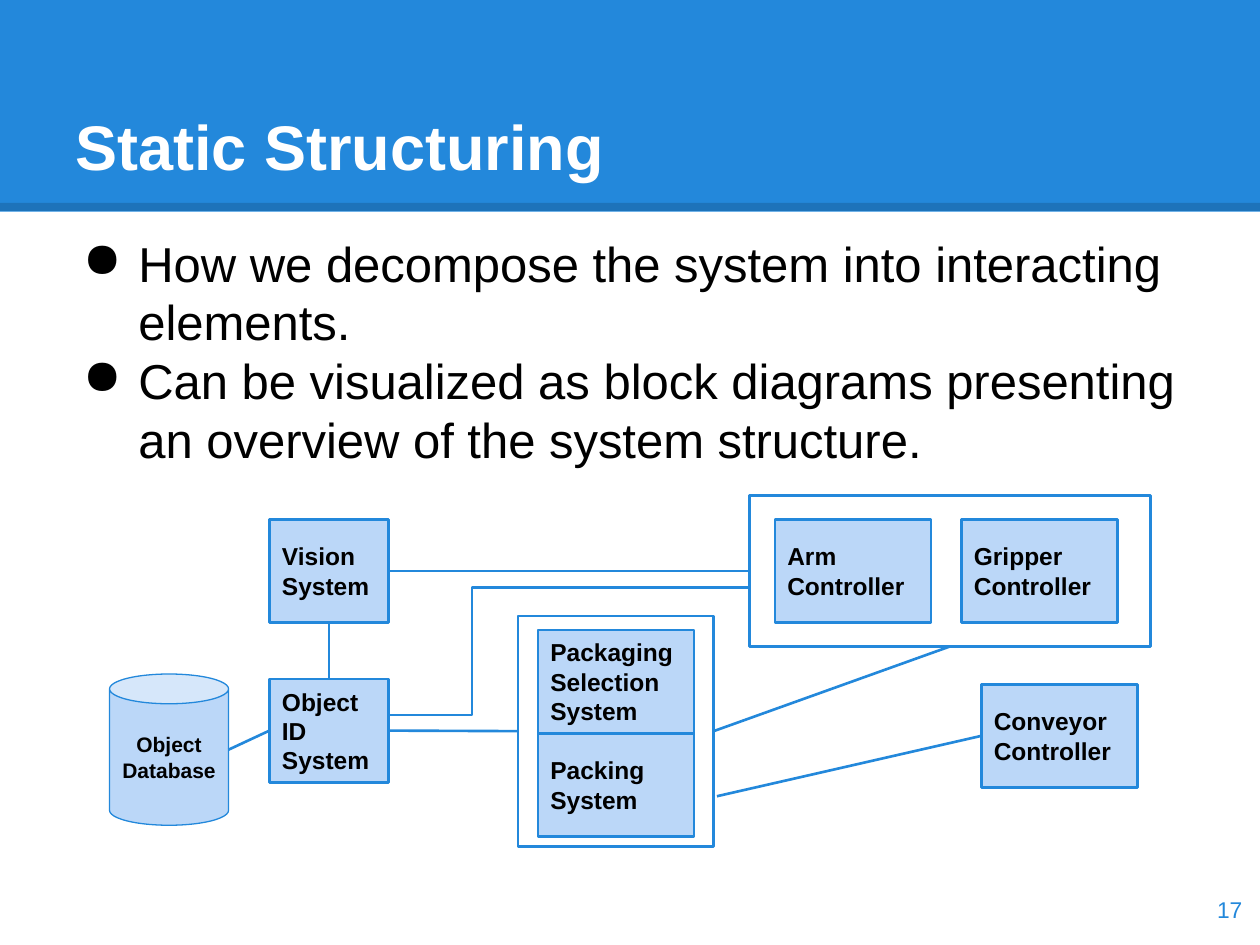
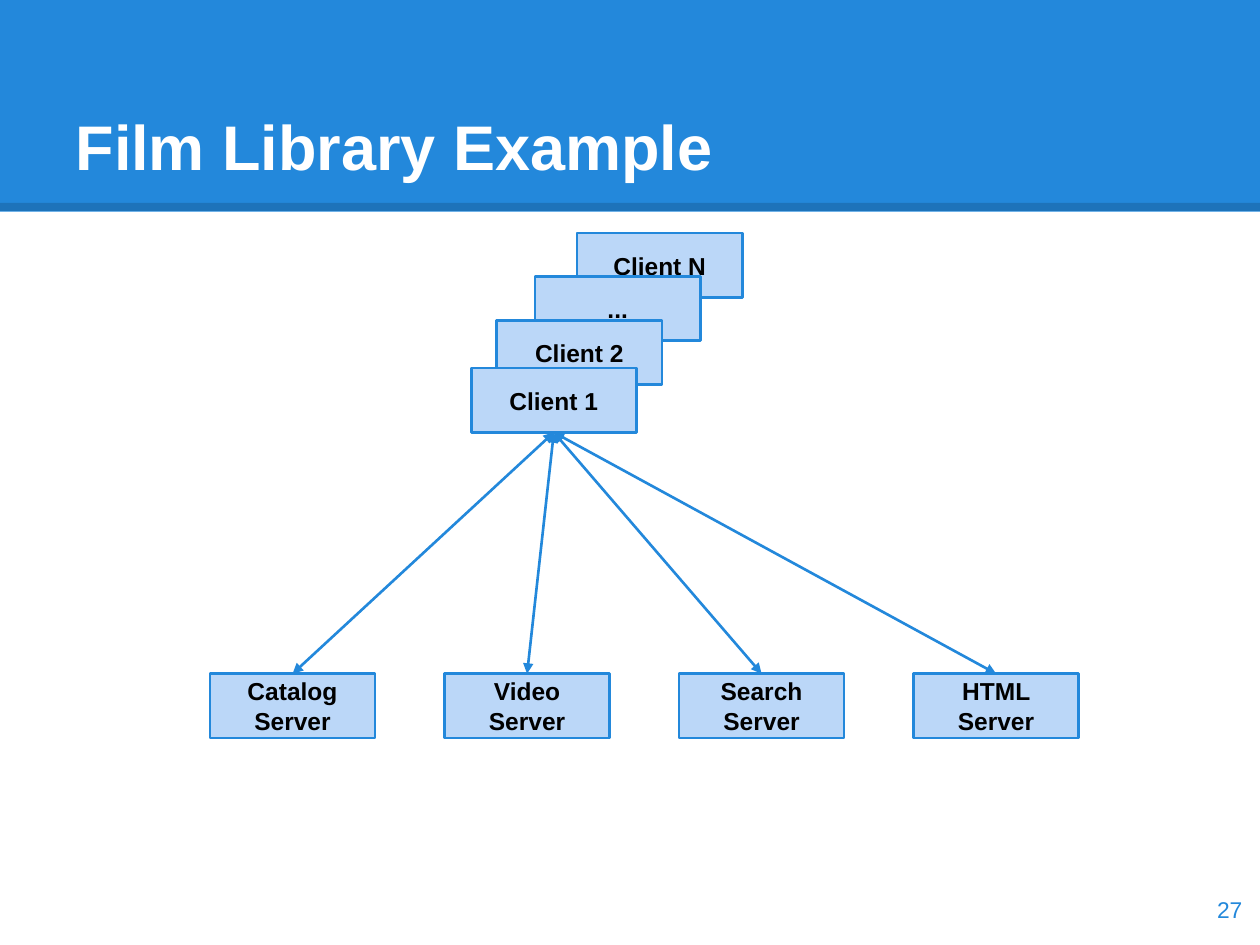
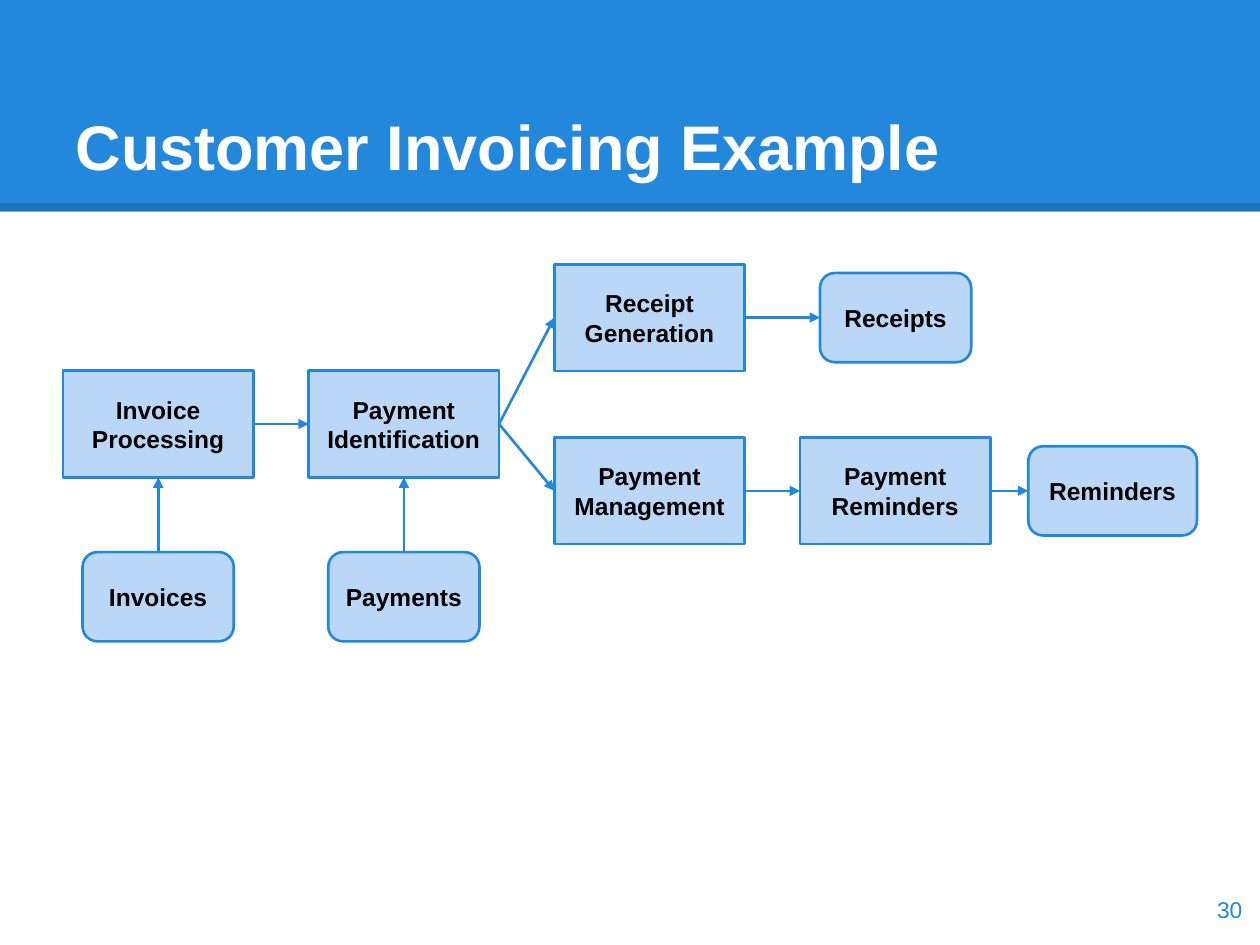
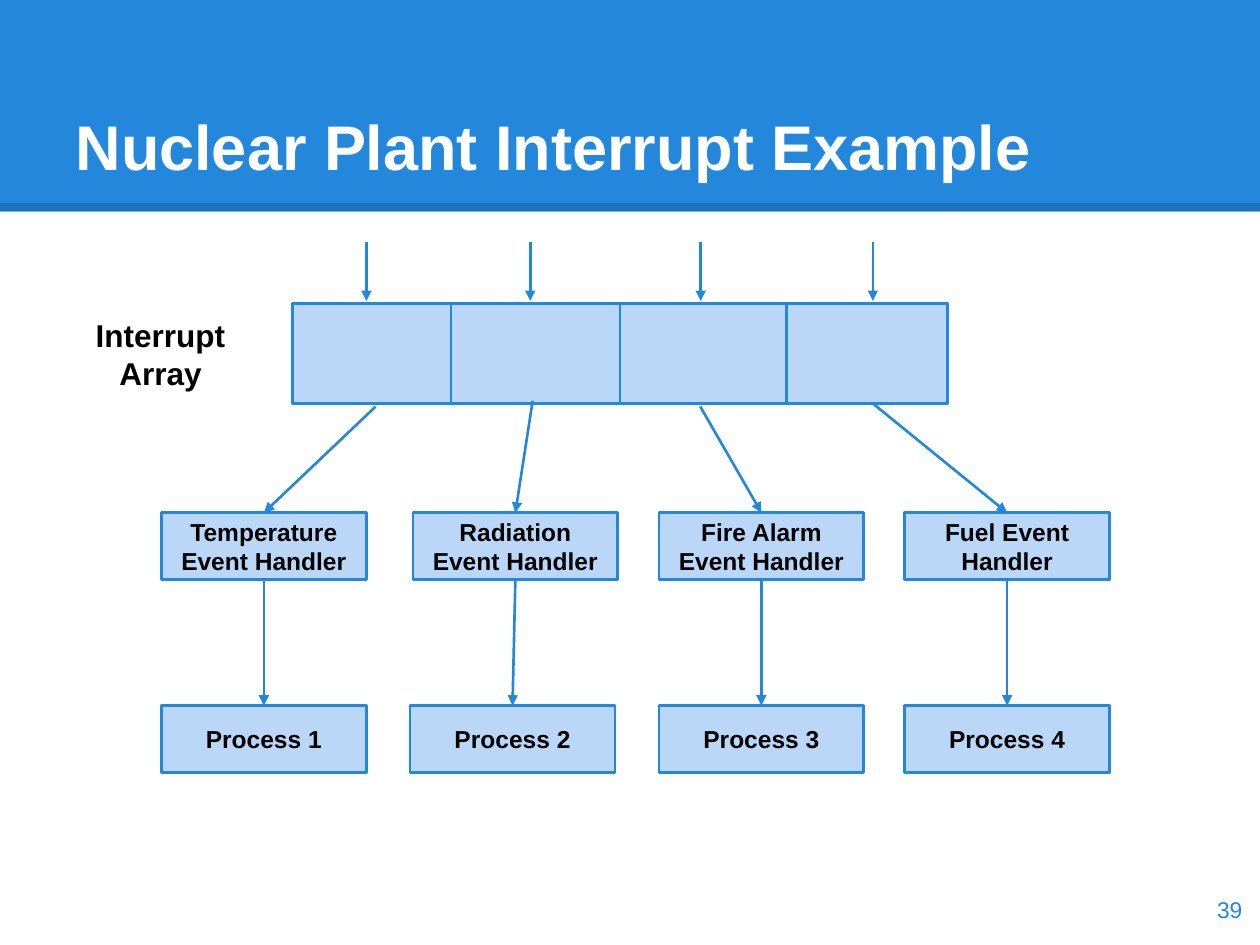
from dataclasses import dataclass
from typing import NamedTuple, Optional, Union

from pptx import Presentation
from pptx.dml.color import RGBColor
from pptx.enum.shapes import MSO_CONNECTOR, MSO_SHAPE, PP_PLACEHOLDER
from pptx.enum.text import MSO_ANCHOR, MSO_AUTO_SIZE, PP_ALIGN
from pptx.oxml.ns import qn
from pptx.oxml.xmlchemy import OxmlElement
from pptx.shapes.autoshape import Shape
from pptx.shapes.connector import Connector
from pptx.slide import Slide, SlideLayout
from pptx.text.text import TextFrame, _Paragraph as Paragraph
from pptx.util import Pt

BLUE = RGBColor(0x23, 0x88, 0xDB)
PALE_BLUE = RGBColor(0xBB, 0xD7, 0xF8)
BLACK = RGBColor(0, 0, 0)
WHITE = RGBColor(255, 255, 255)
FONT = "Arial"
INSET = 7.2
SLIDE_WIDTH, SLIDE_HEIGHT = 720, 540
TOP, LEFT, BOTTOM, RIGHT = range(4)


class Point(NamedTuple):
    x: float
    y: float


class Joint(NamedTuple):
    shape: Shape
    side: int


End = Union[Point, Joint]


@dataclass
class Block:
    left: float
    top: float
    width: float
    height: float
    text: str = ""
    kind: MSO_SHAPE = MSO_SHAPE.RECTANGLE
    align: PP_ALIGN = PP_ALIGN.CENTER
    size: float = 14
    line_width: float = 1.5
    filled: bool = True


@dataclass
class Link:
    start: End
    end: End
    start_arrow: bool = False
    end_arrow: bool = False
    bend: Optional[float] = None


def add_element(parent, tag: str, **attributes: str):
    element = OxmlElement(tag)
    for name, value in attributes.items():
        element.set(name, value)
    parent.append(element)
    return element


def set_frame(frame: TextFrame, anchor: MSO_ANCHOR) -> None:
    frame.word_wrap = True
    frame.auto_size = MSO_AUTO_SIZE.NONE
    frame.vertical_anchor = anchor
    frame.margin_left = frame.margin_right = Pt(INSET)
    frame.margin_top = frame.margin_bottom = Pt(INSET)


def write(paragraph: Paragraph, text: str, size: float, color: RGBColor = BLACK,
          bold: bool = False, align: PP_ALIGN = PP_ALIGN.LEFT) -> None:
    paragraph.alignment = align
    run = paragraph.add_run()
    run.text = text
    run.font.name = FONT
    run.font.size = Pt(size)
    run.font.bold = bold
    run.font.color.rgb = color


def add_text_box(slide: Slide, left: float, top: float, width: float, height: float,
                 anchor: MSO_ANCHOR) -> TextFrame:
    frame = slide.shapes.add_textbox(Pt(left), Pt(top), Pt(width), Pt(height)).text_frame
    set_frame(frame, anchor)
    return frame


def draw_block(slide: Slide, block: Block) -> Shape:
    shape = slide.shapes.add_shape(block.kind, Pt(block.left), Pt(block.top),
                                   Pt(block.width), Pt(block.height))
    shape.shadow.inherit = False
    if block.filled:
        shape.fill.solid()
        shape.fill.fore_color.rgb = PALE_BLUE
    else:
        shape.fill.background()
    shape.line.color.rgb = BLUE
    shape.line.width = Pt(block.line_width)
    if block.text:
        set_frame(shape.text_frame, MSO_ANCHOR.MIDDLE)
        write(shape.text_frame.paragraphs[0], block.text, block.size, bold=True,
              align=block.align)
    return shape


def place_ends(connector: Connector, start: End, end: End) -> None:
    if isinstance(start, Joint):
        connector.begin_connect(start.shape, start.side)
    else:
        connector.begin_x, connector.begin_y = Pt(start.x), Pt(start.y)
    if isinstance(end, Joint):
        connector.end_connect(end.shape, end.side)
    else:
        connector.end_x, connector.end_y = Pt(end.x), Pt(end.y)


def draw_link(slide: Slide, link: Link, color: RGBColor = BLUE, width: float = 1.5) -> Connector:
    kind = MSO_CONNECTOR.STRAIGHT if link.bend is None else MSO_CONNECTOR.ELBOW
    connector = slide.shapes.add_connector(kind, 0, 0, 0, 0)
    place_ends(connector, link.start, link.end)
    connector.line.color.rgb = color
    connector.line.width = Pt(width)
    properties = connector.element.spPr
    line = properties.find(qn("a:ln"))
    if link.start_arrow:
        add_element(line, "a:headEnd", type="triangle")
    if link.end_arrow:
        add_element(line, "a:tailEnd", type="triangle")
    if link.bend is not None:
        adjustments = properties.find(qn("a:prstGeom")).find(qn("a:avLst"))
        add_element(adjustments, "a:gd", name="adj1", fmla=f"val {round(link.bend * 100000)}")
    add_element(properties, "a:effectLst")
    return connector


def draw_arrow(slide: Slide, start: End, end: End) -> None:
    draw_link(slide, Link(start, end, end_arrow=True))


def decorate_layout(layout: SlideLayout, slide: Slide) -> None:
    for placeholder in list(layout.placeholders):
        if placeholder.placeholder_format.type != PP_PLACEHOLDER.TITLE:
            placeholder.element.getparent().remove(placeholder.element)
    band = slide.shapes.add_shape(MSO_SHAPE.RECTANGLE, 0, 0, Pt(SLIDE_WIDTH), Pt(121))
    band.shadow.inherit = False
    band.fill.solid()
    band.fill.fore_color.rgb = BLUE
    band.line.fill.background()
    edge = draw_link(slide, Link(Point(0, 118.2), Point(SLIDE_WIDTH, 118.2)), BLACK, 4.5)
    line_color = edge.element.spPr.find(qn("a:ln")).find(qn("a:solidFill"))[0]
    add_element(line_color, "a:alpha", val="15000")
    for index, shape in enumerate((band, edge), start=2):
        layout.element.cSld.spTree.insert(index, shape.element)


def add_titled_slide(presentation, title: str, number: int) -> Slide:
    layout = presentation.slide_layouts.get_by_name("Title Only")
    slide = presentation.slides.add_slide(layout)
    if len(presentation.slides) == 1:
        decorate_layout(layout, slide)
    heading = slide.shapes.title
    heading.left, heading.top = Pt(36), Pt(21.6)
    heading.width, heading.height = Pt(648), Pt(90)
    set_frame(heading.text_frame, MSO_ANCHOR.BOTTOM)
    write(heading.text_frame.paragraphs[0], title, 36, WHITE, bold=True)
    footer = add_text_box(slide, 674, 499, 43, 41, MSO_ANCHOR.MIDDLE)
    write(footer.paragraphs[0], str(number), 13, BLUE, align=PP_ALIGN.RIGHT)
    return slide


def add_bullets(slide: Slide, bullets: list[str]) -> None:
    frame = add_text_box(slide, 36, 126, 648, 142.6, MSO_ANCHOR.TOP)
    for index, text in enumerate(bullets):
        paragraph = frame.paragraphs[0] if index == 0 else frame.add_paragraph()
        properties = paragraph._p.get_or_add_pPr()
        properties.set("marL", str(Pt(36)))
        properties.set("indent", str(-Pt(31.7)))
        bullet_color = add_element(properties, "a:buClr")
        add_element(bullet_color, "a:srgbClr", val=str(BLACK))
        add_element(properties, "a:buChar", char="●")
        write(paragraph, text, 28)


def build_static_structuring(presentation) -> None:
    slide = add_titled_slide(presentation, "Static Structuring", 17)
    add_bullets(slide, [
        "How we decompose the system into interacting elements.",
        "Can be visualized as block diagrams presenting an overview of the system structure.",
    ])
    narrow, wide, height = 68, 89.3, 59
    upper_top = 296.7

    def system(left: float, top: float, width: float, text: str) -> Shape:
        return draw_block(slide, Block(left, top, width, height, text, align=PP_ALIGN.LEFT))

    controllers = draw_block(slide, Block(428.4, 283, 229, 86.4, filled=False))
    vision = system(154, upper_top, narrow, "Vision System")
    object_id = system(154, 388, narrow, "Object ID System")
    system(442.8, upper_top, wide, "Arm Controller")
    system(549.4, upper_top, wide, "Gripper Controller")
    system(307.4, 360, wide, "Packaging Selection System")
    packaging = draw_block(slide, Block(296, 352, 111.8, 131.6, filled=False))
    system(307.4, 360 + height, wide, "Packing System")
    conveyor = system(560.8, 391, wide, "Conveyor Controller")
    draw_block(slide, Block(62.6, 385.2, narrow, 86.4, "Object Database", MSO_SHAPE.CAN,
                            size=12, line_width=0.75))
    for link in (
        Link(Joint(vision, BOTTOM), Joint(object_id, TOP)),
        Link(Joint(vision, RIGHT), Joint(controllers, LEFT)),
        Link(Joint(object_id, RIGHT), Joint(packaging, LEFT)),
        Link(Point(222.4, 408.7), Point(428, 335.6), bend=0.23),
        Link(Joint(controllers, BOTTOM), Joint(packaging, RIGHT)),
        Link(Point(409.7, 455), Joint(conveyor, LEFT)),
        Link(Point(130.6, 428.4), Joint(object_id, LEFT)),
    ):
        draw_link(slide, link)


def build_film_library(presentation) -> None:
    slide = add_titled_slide(presentation, "Film Library Example", 27)
    width, height = 94.4, 36.7
    clients = [
        draw_block(slide, Block(left, top, width, height, text))
        for left, top, text in (
            (329.8, 133.2, "Client N"),
            (305.8, 157.9, "..."),
            (283.9, 183.2, "Client 2"),
            (269.3, 210.4, "Client 1"),
        )
    ]
    for index, name in enumerate(("Catalog", "Video", "Search", "HTML")):
        server = draw_block(slide, Block(120 + 134 * index, 385, width, height, f"{name} Server"))
        draw_link(slide, Link(Joint(server, TOP), Joint(clients[-1], BOTTOM), True, True))


def build_customer_invoicing(presentation) -> None:
    slide = add_titled_slide(presentation, "Customer Invoicing Example", 30)
    width, height = 108.8, 61
    data_width, data_height = 86.4, 51
    middle_top, upper_top, lower_top, data_top = 211.8, 151, 250, 315.5

    def step(column: int, top: float, text: str) -> Shape:
        return draw_block(slide, Block(36 + 140.4 * column, top, width, height, text))

    def data(left: float, top: float, text: str, data_width: float = data_width) -> Shape:
        return draw_block(slide, Block(left, top, data_width, data_height, text,
                                       MSO_SHAPE.ROUNDED_RECTANGLE))

    def data_below(column: int, text: str) -> Shape:
        return data(36 + 140.4 * column + (width - data_width) / 2, data_top, text)

    level = (height - data_height) / 2
    processing = step(0, middle_top, "Invoice Processing")
    identification = step(1, middle_top, "Payment Identification")
    generation = step(2, upper_top, "Receipt Generation")
    management = step(2, lower_top, "Payment Management")
    payment_reminders = step(3, lower_top, "Payment Reminders")
    invoices = data_below(0, "Invoices")
    payments = data_below(1, "Payments")
    receipts = data(468.6, upper_top + level, "Receipts")
    reminders = data(587.6, lower_top + level, "Reminders", 96.4)
    for source, target in (
        (processing, identification),
        (identification, generation),
        (generation, receipts),
        (identification, management),
        (management, payment_reminders),
        (payment_reminders, reminders),
    ):
        draw_arrow(slide, Joint(source, RIGHT), Joint(target, LEFT))
    for source, target in ((invoices, processing), (payments, identification)):
        draw_arrow(slide, Joint(source, TOP), Joint(target, BOTTOM))


class Interrupt(NamedTuple):
    name: str
    signal_x: float
    exit: Point
    handler_left: float
    process_left: float


def build_nuclear_plant(presentation) -> None:
    slide = add_titled_slide(presentation, "Nuclear Plant Interrupt Example", 39)
    array_top, array_height = 173.6, 56.9
    width, height = 117, 38.3
    draw_block(slide, Block(167, array_top, 374.6, array_height))
    for x in (257.8, 354.2, 449.4):
        draw_link(slide, Link(Point(x, array_top), Point(x, array_top + array_height)))
    label = add_text_box(slide, 31.7, array_top, 120, 46, MSO_ANCHOR.TOP)
    write(label.paragraphs[0], "Interrupt Array", 18, bold=True, align=PP_ALIGN.CENTER)
    interrupts = (
        Interrupt("Temperature", 209.4, Point(214.6, 232.4), 92.3, 92.3),
        Interrupt("Radiation", 303, Point(304.4, 229), 236, 234.4),
        Interrupt("Fire Alarm", 400.4, Point(400.2, 232.4), 376.6, 376.6),
        Interrupt("Fuel", 498.8, Point(498.6, 230.4), 517, 517),
    )
    for number, interrupt in enumerate(interrupts, start=1):
        draw_arrow(slide, Point(interrupt.signal_x, 138.2), Point(interrupt.signal_x, 172))
        handler = draw_block(slide, Block(interrupt.handler_left, 293, width, height,
                                          f"{interrupt.name} Event Handler"))
        process = draw_block(slide, Block(interrupt.process_left, 403.2, width, height,
                                          f"Process {number}"))
        draw_arrow(slide, interrupt.exit, Joint(handler, TOP))
        draw_arrow(slide, Joint(handler, BOTTOM), Joint(process, TOP))


def main() -> None:
    presentation = Presentation()
    presentation.slide_width = Pt(SLIDE_WIDTH)
    presentation.slide_height = Pt(SLIDE_HEIGHT)
    build_static_structuring(presentation)
    build_film_library(presentation)
    build_customer_invoicing(presentation)
    build_nuclear_plant(presentation)
    presentation.save("out.pptx")


if __name__ == "__main__":
    main()
